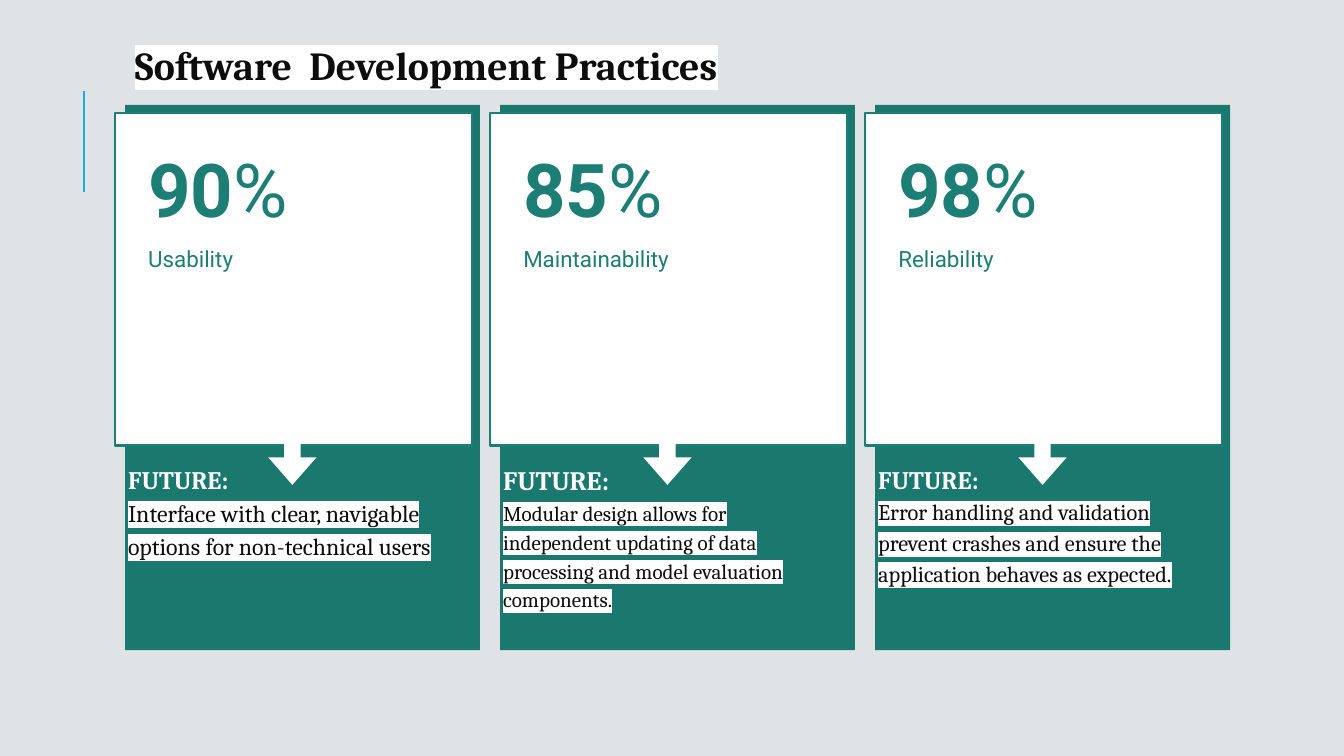
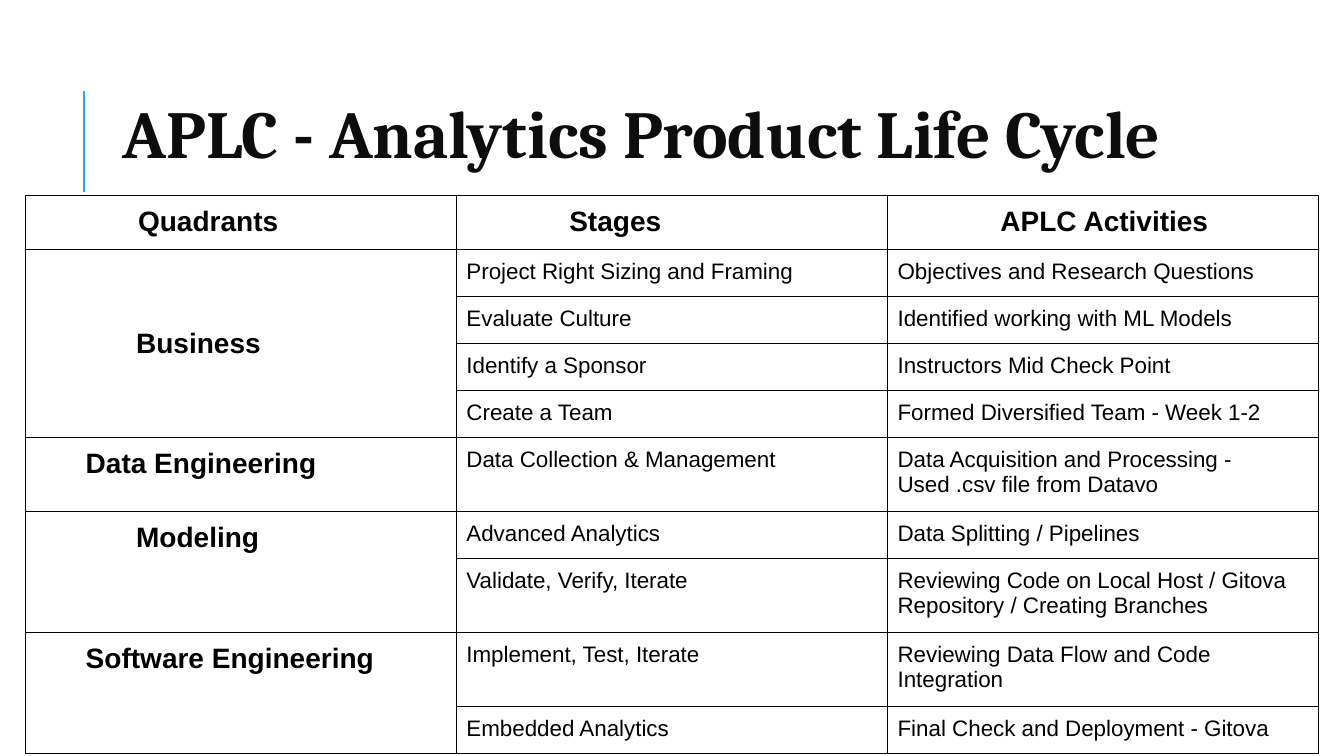
from lxml.etree import SubElement
from pptx import Presentation
from pptx.dml.color import RGBColor
from pptx.enum.shapes import MSO_CONNECTOR, MSO_SHAPE
from pptx.enum.text import MSO_ANCHOR
from pptx.oxml.ns import qn
from pptx.util import Inches, Pt

WIDTH, HEIGHT = 13.33, 7.5
WHITE, INK, BLACK = "FFFFFF", "0D0D0D", "000000"
PANEL, TEAL, ACCENT, MIST = "1B786F", "1D7E75", "1CADE4", "DFE3E5"

TITLE = {"name": "Cambria", "bold": True, "color": INK}
FIGURE = {"name": "Roboto", "size": 53, "bold": True, "color": TEAL}
LABEL = {"name": "Roboto", "size": 16, "color": TEAL}
HEADING = {"name": "Cambria", "bold": True, "color": WHITE}
BODY = {"name": "Cambria", "color": INK, "highlight": WHITE}
CELL = {"name": "Arial", "size": 16, "color": BLACK}
CELL_BOLD = {**CELL, "size": 20, "bold": True}

PRACTICES_TITLE = "Software  Development Practices"
PRACTICES = [
    ("90", "Usability", 18, 17,
     "Interface with clear, navigable options for non-technical users"),
    ("85", "Maintainability", 19, 15,
     "Modular design allows for independent updating of data processing "
     "and model evaluation components."),
    ("98", "Reliability", 18, 16,
     "Error handling and validation prevent crashes and ensure the "
     "application behaves as expected."),
]
CARD_LEFT, CARD_PITCH, CARD_WIDTH = 1.24, 3.72, 3.52

CYCLE_TITLE = "APLC - Analytics Product Life Cycle"
CYCLE_HEADERS = ["Quadrants", "Stages", "APLC Activities"]
CYCLE = [
    ("Business", 1, [
        ("Project Right Sizing and Framing", "Objectives and Research Questions"),
        ("Evaluate Culture", "Identified working with ML Models"),
        ("Identify a Sponsor", "Instructors Mid Check Point"),
        ("Create a Team", "Formed Diversified Team - Week 1-2"),
    ]),
    ("Data Engineering", 0.5, [
        ("Data Collection & Management",
         "Data Acquisition and Processing - Used .csv file from Datavo"),
    ]),
    ("Modeling", 1, [
        ("Advanced Analytics", "Data Splitting / Pipelines"),
        ("Validate, Verify, Iterate",
         "Reviewing Code on Local Host / Gitova Repository / Creating Branches"),
    ]),
    ("Software Engineering", 0.5, [
        ("Implement, Test, Iterate", "Reviewing Data Flow and Code Integration"),
        ("Embedded Analytics", "Final Check and Deployment - Gitova"),
    ]),
]
TABLE_PLACE = (0.25, 1.94, 12.83, 3.28)
CELL_INSET = 0.1


def rgb(value):
    return RGBColor.from_string(value)


def add_span(para, text, style):
    span = para.add_run()
    span.text = text
    for key, value in style.items():
        if key == "color":
            span.font.color.rgb = rgb(value)
        elif key == "size":
            span.font.size = Pt(value)
        elif key != "highlight":
            setattr(span.font, key, value)
    if "highlight" in style:
        properties = span.font._element
        mark = SubElement(properties, qn("a:highlight"))
        SubElement(mark, qn("a:srgbClr"), val=style["highlight"])
        properties.find(qn("a:latin")).addprevious(mark)


def add_text(page, place, paragraphs, inset=0.13, spacing=1.0, anchor=MSO_ANCHOR.TOP):
    box = page.shapes.add_textbox(*map(Inches, place))
    frame = box.text_frame
    settings = {"word_wrap": True, "vertical_anchor": anchor}
    settings.update({f"margin_{side}": Inches(inset)
                     for side in ("left", "right", "top", "bottom")})
    for key, value in settings.items():
        setattr(frame, key, value)
    for index, spans in enumerate(paragraphs):
        para = frame.add_paragraph() if index else frame.paragraphs[0]
        para.line_spacing = spacing
        for text, style in spans:
            add_span(para, text, style)


def add_block(page, kind, place, fill, line=None):
    block = page.shapes.add_shape(kind, *map(Inches, place))
    block.shadow.inherit = False
    block.fill.solid()
    block.fill.fore_color.rgb = rgb(fill)
    if line:
        block.line.color.rgb = rgb(line)
        block.line.width = Pt(1.5)
    else:
        block.line.fill.background()
    return block


def add_page(deck, background, title, place, style, spacing):
    page = deck.slides.add_slide(deck.slide_layouts[6])
    page.background.fill.solid()
    page.background.fill.fore_color.rgb = rgb(background)
    rule = page.shapes.add_connector(
        MSO_CONNECTOR.STRAIGHT, *map(Inches, (0.83, 1.9, 0.83, 0.9)))
    rule.line.color.rgb = rgb(ACCENT)
    rule.line.width = Pt(1.5)
    SubElement(rule._element.spPr, qn("a:effectLst"))
    add_text(page, place, [[(title, {**TITLE, **style})]],
             0.1, spacing, MSO_ANCHOR.MIDDLE)
    return page


def add_card(page, left, practice):
    figure, label, heading_size, body_size, body = practice
    add_block(page, MSO_SHAPE.RECTANGLE, (left, 1.04, CARD_WIDTH, 5.41), PANEL)
    add_block(page, MSO_SHAPE.RECTANGLE, (left - 0.1, 1.12, 3.54, 3.3), WHITE, TEAL)
    add_text(page, (left + 0.1, 2.3, 3.15, 0.81), [[(label, LABEL)]])
    add_text(page, (left + 0.1, 1.29, 3.15, 0.9),
             [[(figure, FIGURE), ("%", {**FIGURE, "bold": False})]])
    arrow = add_block(page, MSO_SHAPE.DOWN_ARROW, (left + 1.42, 4.29, 0.48, 0.52), WHITE)
    arrow.adjustments[0], arrow.adjustments[1] = 0.34, 0.57
    add_text(page, (left - 0.1, 4.43, CARD_WIDTH, 1.89),
             [[("FUTURE:", {**HEADING, "size": heading_size})],
              [(body, {**BODY, "size": body_size})]], spacing=1.15)


def fill_cell(cell, text, style, indent=0):
    settings = {f"margin_{side}": Inches(CELL_INSET) for side in ("right", "top", "bottom")}
    settings["margin_left"] = Inches(CELL_INSET + indent)
    for key, value in settings.items():
        setattr(cell, key, value)
    properties = cell._tc.get_or_add_tcPr()
    for side in ("lnL", "lnR", "lnT", "lnB"):
        edge = SubElement(properties, qn(f"a:{side}"), w=str(Pt(0.75)))
        paint = SubElement(edge, qn("a:solidFill"))
        SubElement(paint, qn("a:srgbClr"), val=BLACK)
    cell.fill.background()
    if text:
        add_span(cell.text_frame.paragraphs[0], text, style)


def add_cycle_table(page):
    rows = 1 + sum(len(group) for _, _, group in CYCLE)
    table = page.shapes.add_table(
        rows, len(CYCLE_HEADERS), *map(Inches, TABLE_PLACE)).table
    table.first_row = table.horz_banding = False
    for column, header in enumerate(CYCLE_HEADERS):
        fill_cell(table.cell(0, column), header, CELL_BOLD, 1.02)
    row = 1
    for quadrant, indent, group in CYCLE:
        first = table.cell(row, 0)
        for offset, texts in enumerate(group):
            fill_cell(table.cell(row + offset, 0), "" if offset else quadrant,
                      CELL_BOLD, indent)
            for column, text in enumerate(texts, 1):
                fill_cell(table.cell(row + offset, column), text, CELL)
        if len(group) > 1:
            first.merge(table.cell(row + len(group) - 1, 0))
        if len(group) > 2:
            first.vertical_anchor = MSO_ANCHOR.MIDDLE
        row += len(group)


def main():
    deck = Presentation()
    deck.slide_width, deck.slide_height = Inches(WIDTH), Inches(HEIGHT)
    practices = add_page(deck, MIST, PRACTICES_TITLE, (1.24, 0.27, 7.47, 0.74),
                         {"size": 28.4, "highlight": WHITE}, 1.0)
    for index, practice in enumerate(PRACTICES):
        add_card(practices, CARD_LEFT + index * CARD_PITCH, practice)
    cycle = add_page(deck, WHITE, CYCLE_TITLE, (1.12, 0.82, 10.74, 1.13),
                     {"size": 48}, 0.8)
    add_cycle_table(cycle)
    deck.save("out.pptx")


if __name__ == "__main__":
    main()
